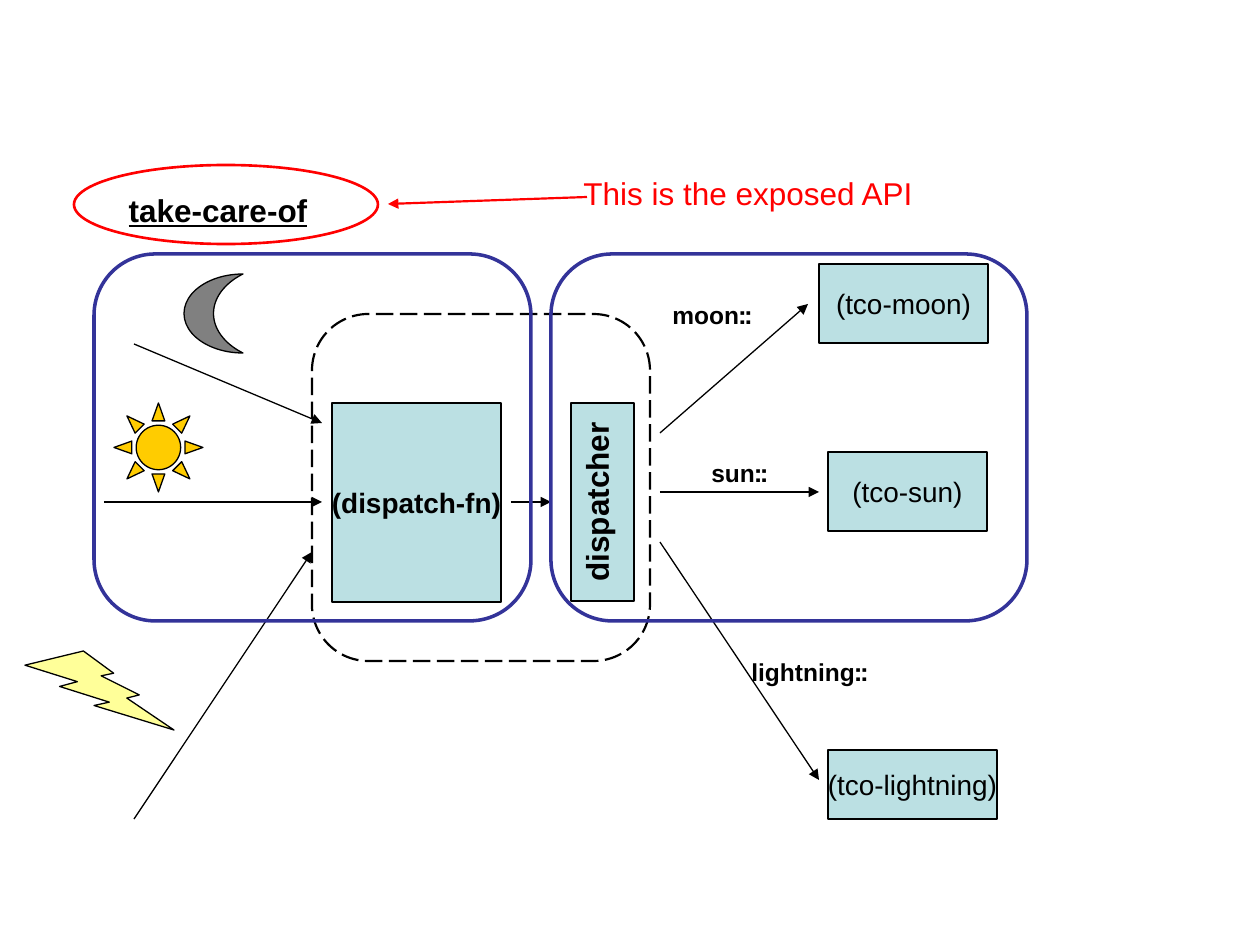
from dataclasses import dataclass

from pptx import Presentation
from pptx import util as u
from pptx.dml.color import RGBColor
from pptx.enum import dml, shapes, text
from pptx.oxml import ns
from pptx.oxml.xmlchemy import OxmlElement

PX = 914400 / 126


def px(length):
    return u.Emu(round(length * PX))


@dataclass(frozen=True)
class Theme:
    font: str = "Arial"
    black: str = "000000"
    red: str = "FF0000"
    navy: str = "333399"
    teal: str = "BBE0E3"
    grey: str = "808080"
    gold: str = "FFCC00"
    yellow: str = "FFFF99"
    label: int = 14
    node: int = 16
    heading: int = 18
    thin: float = 0.75
    medium: float = 1.25
    ring: float = 1.5
    thick: float = 2
    corner: float = 0.167


class Diagram:
    def __init__(self, page, theme):
        self.page = page
        self.theme = theme

    def shape(self, kind, bounds, fill=None, line=None, width=None):
        shape = self.page.shapes.add_shape(kind, *map(px, bounds))
        shape.shadow.inherit = False
        if fill:
            shape.fill.solid()
            shape.fill.fore_color.rgb = RGBColor.from_string(fill)
        else:
            shape.fill.background()
        shape.line.color.rgb = RGBColor.from_string(line or self.theme.black)
        shape.line.width = u.Pt(width or self.theme.thin)
        return shape

    def frame(self, bounds, line, width):
        frame = self.shape(shapes.MSO_SHAPE.ROUNDED_RECTANGLE, bounds, line=line, width=width)
        frame.adjustments[0] = self.theme.corner
        return frame

    def set_text(self, box, words, size, bold=False, color=None, underline=None):
        """Fill a box with one centred, unwrapped line."""
        frame = box.text_frame
        frame.word_wrap = False
        frame.vertical_anchor = text.MSO_ANCHOR.MIDDLE
        para = frame.paragraphs[0]
        para.alignment = text.PP_ALIGN.CENTER
        span = para.add_run()
        span.text = words
        font = span.font
        font.name, font.size, font.bold, font.underline = self.theme.font, u.Pt(size), bold, underline
        font.color.rgb = RGBColor.from_string(color or self.theme.black)
        return frame

    def node(self, words, bounds, bold=False):
        box = self.shape(shapes.MSO_SHAPE.RECTANGLE, bounds, self.theme.teal)
        self.set_text(box, words, self.theme.node, bold)

    def upright_node(self, words, bounds):
        """Box whose text reads from bottom to top."""
        box = self.shape(shapes.MSO_SHAPE.RECTANGLE, bounds, self.theme.teal)
        frame = self.set_text(box, words, self.theme.heading, bold=True)
        frame.vertical_anchor = text.MSO_ANCHOR.TOP
        frame.margin_left = frame.margin_right = u.Inches(0.05)
        frame.margin_top = frame.margin_bottom = u.Inches(0.1)
        box.element.txBody.bodyPr.set("vert", "vert270")

    def caption(self, words, bounds, **style):
        box = self.page.shapes.add_textbox(*map(px, bounds))
        return self.set_text(box, words, **style)

    def key(self, words, bounds):
        """Right-to-left dispatch key, so its colons show after the word."""
        frame = self.caption(words, bounds, size=self.theme.label, bold=True)
        frame.word_wrap = True
        frame.vertical_anchor = text.MSO_ANCHOR.TOP
        para = frame.paragraphs[0]
        para.alignment = text.PP_ALIGN.LEFT
        para._p.get_or_add_pPr().set("rtl", "1")

    def arrow(self, start, end, color=None, width=None):
        arrow = self.page.shapes.add_connector(
            shapes.MSO_CONNECTOR.STRAIGHT, *map(px, (*start, *end)))
        arrow.line.color.rgb = RGBColor.from_string(color or self.theme.black)
        arrow.line.width = u.Pt(width or self.theme.thin)
        head = OxmlElement("a:tailEnd")
        head.set("type", "triangle")
        properties = arrow._element.spPr
        properties.find(ns.qn("a:ln")).append(head)
        properties.append(OxmlElement("a:effectLst"))


def main():
    deck = Presentation()
    deck.slide_width, deck.slide_height = u.Inches(10), u.Inches(7.5)
    theme = Theme()
    diagram = Diagram(deck.slides.add_slide(deck.slide_layouts[6]), theme)
    kinds = shapes.MSO_SHAPE

    dispatch_frame = diagram.frame((312, 314, 338, 347), theme.black, theme.medium)
    dispatch_frame.line.dash_style = dml.MSO_LINE.LONG_DASH

    diagram.node("(dispatch-fn)", (332, 403, 169, 199), bold=True)
    diagram.caption("take-care-of", (94, 185, 248, 50),
                    size=theme.heading, bold=True, underline=True)

    diagram.shape(kinds.MOON, (184, 274, 59, 79), theme.grey)
    diagram.shape(kinds.SUN, (114, 403, 89, 89), theme.gold)
    diagram.shape(kinds.LIGHTNING_BOLT, (25, 651, 149, 79), theme.yellow)

    for start, end in (
        ((134, 344), (322, 423)),
        ((104, 502), (322, 502)),
        ((134, 819), (312, 552)),
        ((660, 433), (808, 304)),
        ((660, 492), (819, 492)),
        ((660, 542), (819, 780)),
        ((511, 502), (551, 502)),
    ):
        diagram.arrow(start, end)

    for words, key_bounds, node_bounds in (
        ("moon", (660, 294, 129, 43), (819, 264, 169, 79)),
        ("sun", (699, 452, 129, 43), (828, 452, 159, 79)),
        ("lightning", (739, 651, 169, 43), (828, 750, 169, 69)),
    ):
        diagram.key(f"::{words}", key_bounds)
        diagram.node(f"(tco-{words})", node_bounds)

    diagram.shape(kinds.OVAL, (74, 165, 304, 79), line=theme.red, width=theme.ring)
    diagram.arrow((587, 197), (388, 204), theme.red, theme.medium)
    diagram.caption("This is the exposed API", (549, 165, 398, 56),
                    size=theme.heading, color=theme.red)

    diagram.upright_node("dispatcher", (571, 403, 63, 198))
    for bounds in ((94, 254, 437, 367), (551, 254, 476, 367)):
        diagram.frame(bounds, theme.navy, theme.thick)

    deck.save("out.pptx")


if __name__ == "__main__":
    main()
